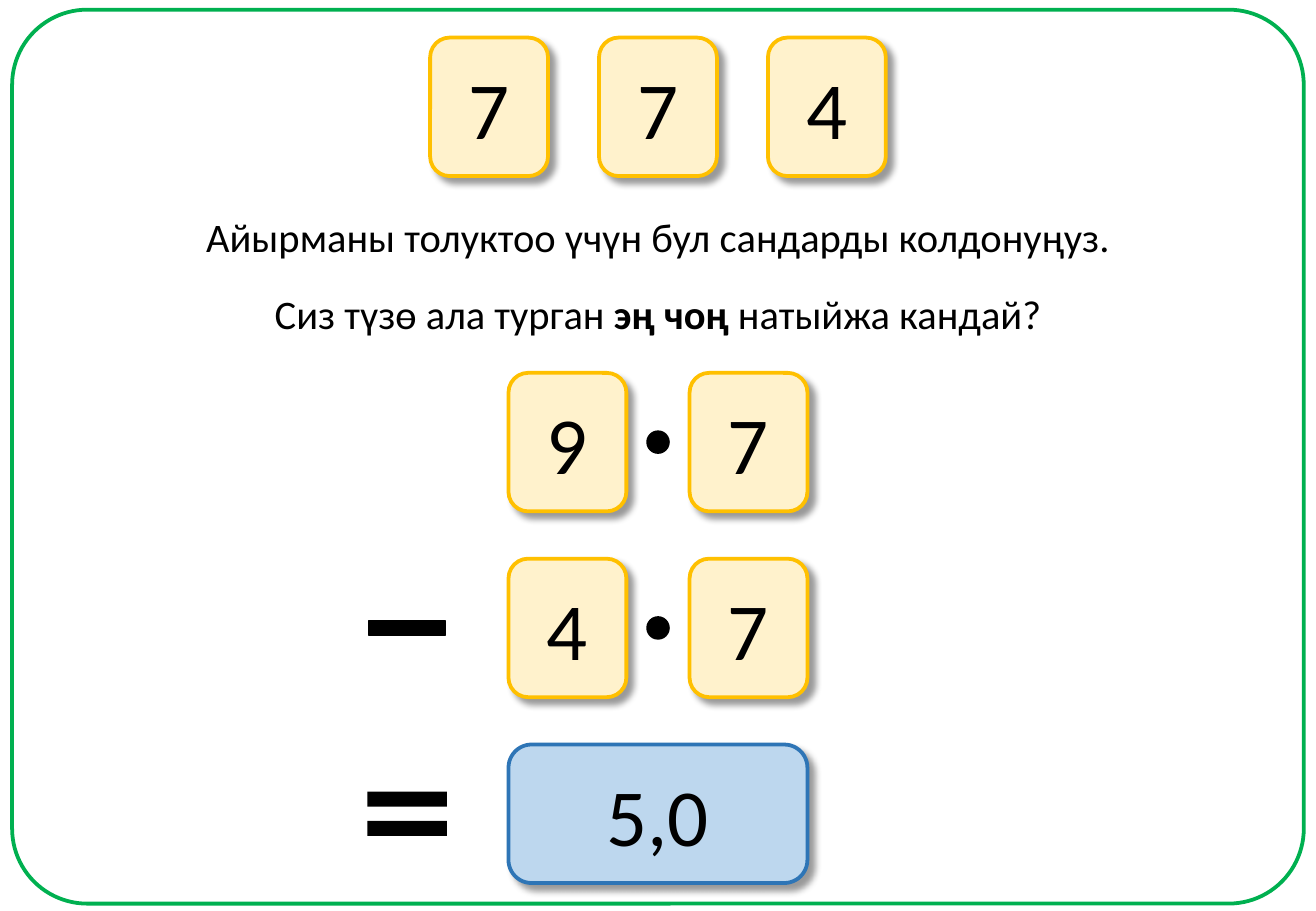
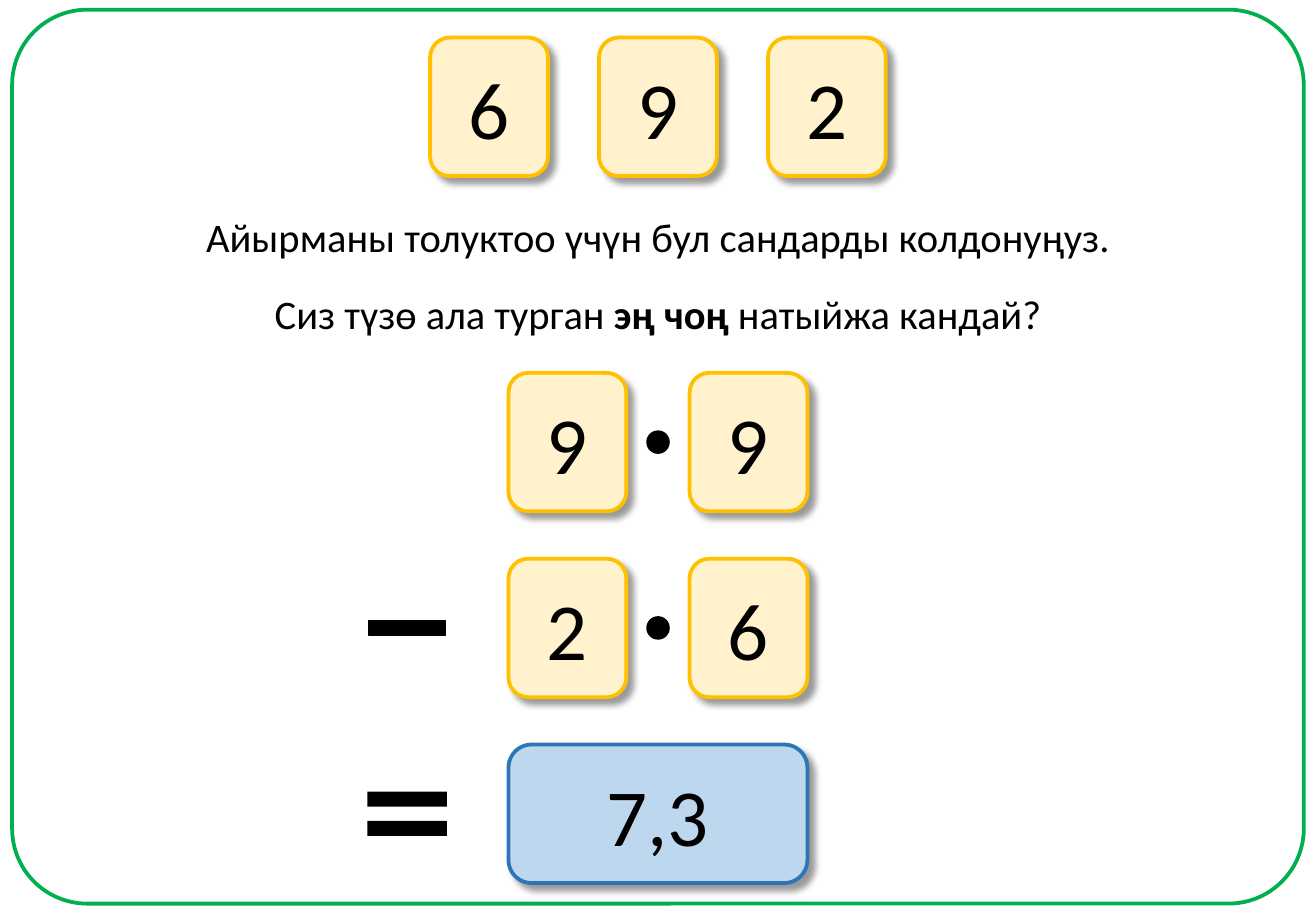
from lxml import etree
from pptx import Presentation
from pptx.dml.color import RGBColor
from pptx.enum.shapes import MSO_SHAPE as SHAPE
from pptx.enum.text import MSO_ANCHOR as ANCHOR, MSO_AUTO_SIZE as AUTO, PP_ALIGN as ALIGN
from pptx.oxml.ns import qn
from pptx.util import Inches, Pt

# Shared style
FONT = "Calibri"
BLACK, GREEN = "000000", "00B050"
YELLOW = dict(fill="FFF2CC", line="FFC000")
BLUE = dict(fill="BDD7EE", line="2E75B6")

# Shared grid, in inches
SLIDE_W, SLIDE_H = 10.83, 7.5
MID_X = SLIDE_W / 2
CARD_W, CARD_H = 0.97, 1.14
GIVEN_Y, GIVEN_STEP = 0.88, 1.39
ROW_Y, ROW_STEP = 3.64, 1.53
COL_STEP = 1.49
SIGN_X = 3.35
DOT = 0.18

QUESTION = [
    (1.7, 7.71, [("Айырманы толуктоо үчүн бул сандарды колдонуңуз.", False)]),
    (2.33, 6.57, [("Сиз түзө ала турган ", False), ("эң чоң ", True),
                  ("натыйжа кандай?", False)]),
]

# Given digits, rows of the subtraction, answer
TASKS = [
    ("774", ["97", "47"], "5,0"),
    ("692", ["99", "26"], "7,3"),
]


def rgb(color):
    return RGBColor.from_string(color)


def write(tf, runs, size=24, color=BLACK, align=ALIGN.CENTER):
    """Fill the first paragraph with (text, bold) runs."""
    p = tf.paragraphs[0]
    p.alignment = align
    for text, bold in runs:
        r = p.add_run()
        r.text = text
        r.font.name, r.font.size, r.font.bold = FONT, Pt(size), bold
        r.font.color.rgb = rgb(color)


def add_shadow(s, blur=4, dist=5, angle=45, alpha=40):
    effects = s._element.spPr.find(qn("a:effectLst"))
    shadow = etree.SubElement(
        effects, qn("a:outerShdw"), blurRad=str(Pt(blur)), dist=str(Pt(dist)),
        dir=str(angle * 60000), algn="tl", rotWithShape="0")
    color = etree.SubElement(shadow, qn("a:srgbClr"), val=BLACK)
    etree.SubElement(color, qn("a:alpha"), val=str(alpha * 1000))


def add_shape(slide, kind, x, y, w, h, fill=None, line=None, width=2.25, adj=()):
    """Add a preset shape centred on x, y."""
    s = slide.shapes.add_shape(
        kind, Inches(x - w / 2), Inches(y - h / 2), Inches(w), Inches(h))
    s.shadow.inherit = False
    for i, value in enumerate(adj):
        s.adjustments[i] = value
    if fill:
        s.fill.solid()
        s.fill.fore_color.rgb = rgb(fill)
    else:
        s.fill.background()
    if line:
        s.line.color.rgb = rgb(line)
        s.line.width = Pt(width)
    else:
        s.line.fill.background()
    return s


def add_card(slide, text, x, y, w=CARD_W, style=YELLOW):
    s = add_shape(slide, SHAPE.ROUNDED_RECTANGLE, x, y, w, CARD_H, **style)
    add_shadow(s)
    tf = s.text_frame
    tf.vertical_anchor = ANCHOR.MIDDLE
    tf.margin_left = tf.margin_right = Inches(0.11)
    write(tf, [(text, False)], size=48)


def add_card_row(slide, digits, y, step):
    """Add one card per digit, centred on the slide."""
    for i, digit in enumerate(digits):
        add_card(slide, digit, MID_X + (i - (len(digits) - 1) / 2) * step, y)


def add_question(slide):
    for top, w, runs in QUESTION:
        box = slide.shapes.add_textbox(
            Inches(MID_X - w / 2), Inches(top), Inches(w), Inches(0.5))
        tf = box.text_frame
        tf.word_wrap = False
        tf.auto_size = AUTO.SHAPE_TO_FIT_TEXT
        write(tf, runs)


def add_task(prs, given, rows, answer):
    slide = prs.slides.add_slide(prs.slide_layouts[6])

    # Frame, given digits and question
    add_shape(slide, SHAPE.ROUNDED_RECTANGLE, MID_X, 3.76, 10.63, 7.36,
              line=GREEN, adj=[0.084])
    add_question(slide)
    add_card_row(slide, given, GIVEN_Y, GIVEN_STEP)

    # Decimal numbers
    row_ys = [ROW_Y + i * ROW_STEP for i in range(3)]
    for digits, y in zip(rows, row_ys):
        add_card_row(slide, digits, y, COL_STEP)
        add_shape(slide, SHAPE.OVAL, MID_X, y, DOT, DOT,
                  fill=BLACK, line=BLACK, width=1)

    # Signs and answer
    add_shape(slide, SHAPE.MATH_MINUS, SIGN_X, row_ys[1], 0.86, 0.86,
              fill=BLACK, line=BLACK, width=1, adj=[0.132])
    add_shape(slide, SHAPE.MATH_EQUAL, SIGN_X, row_ys[2], 0.89, 1,
              fill=BLACK, adj=[0.123, 0.118])
    add_card(slide, answer, MID_X, row_ys[2], w=COL_STEP + CARD_W, style=BLUE)


def main():
    prs = Presentation()
    prs.slide_width, prs.slide_height = Inches(SLIDE_W), Inches(SLIDE_H)
    for task in TASKS:
        add_task(prs, *task)
    prs.save("out.pptx")


if __name__ == "__main__":
    main()
